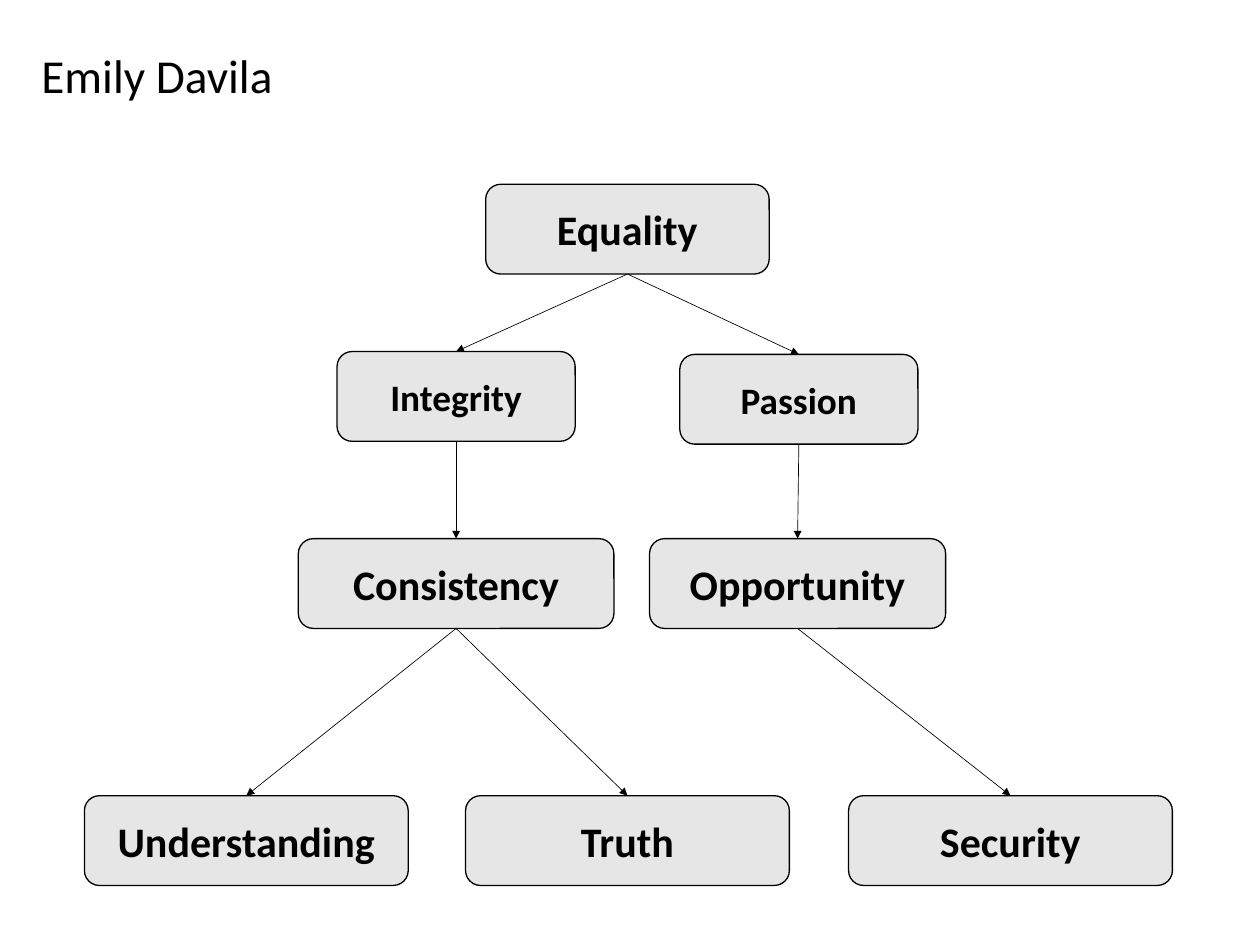
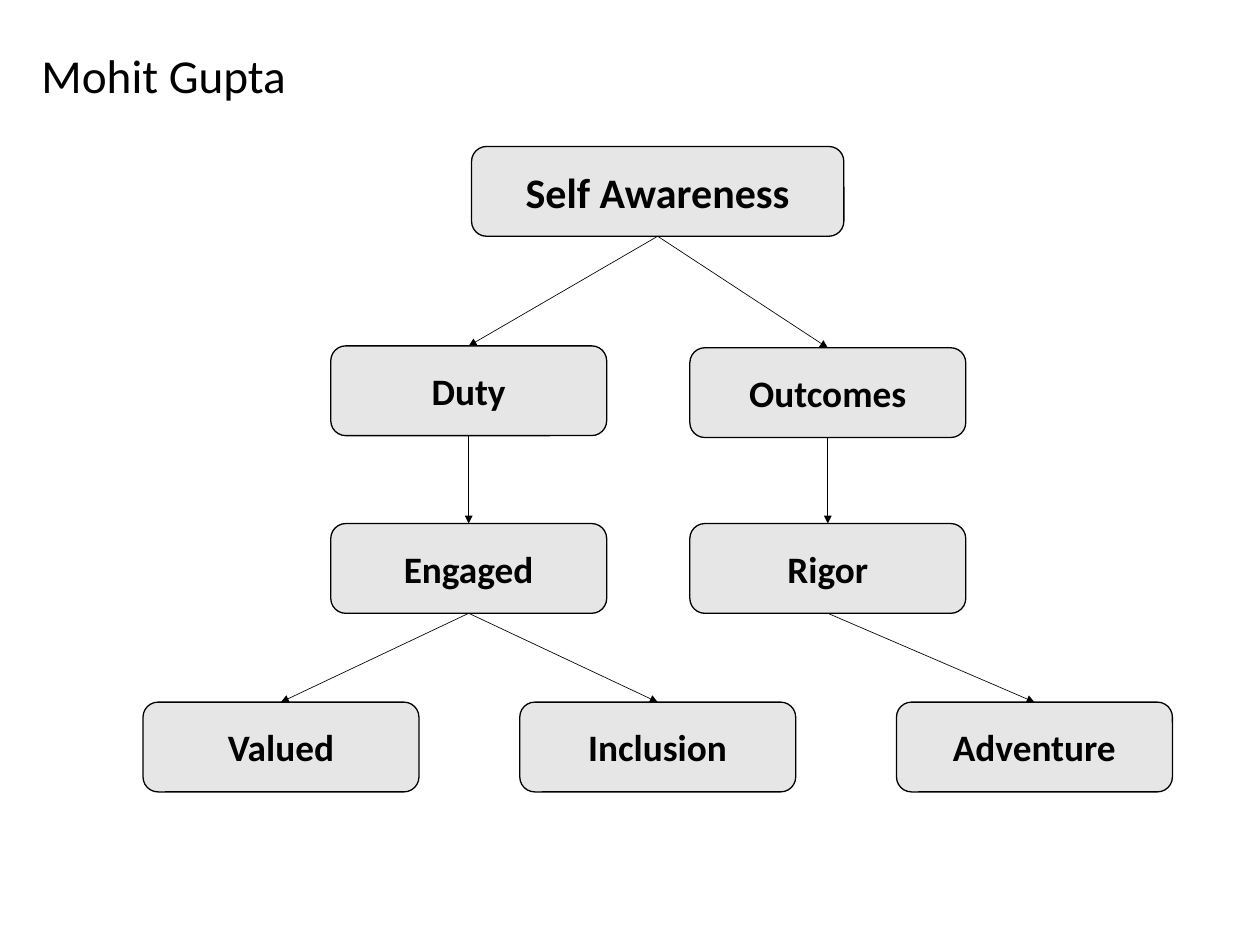
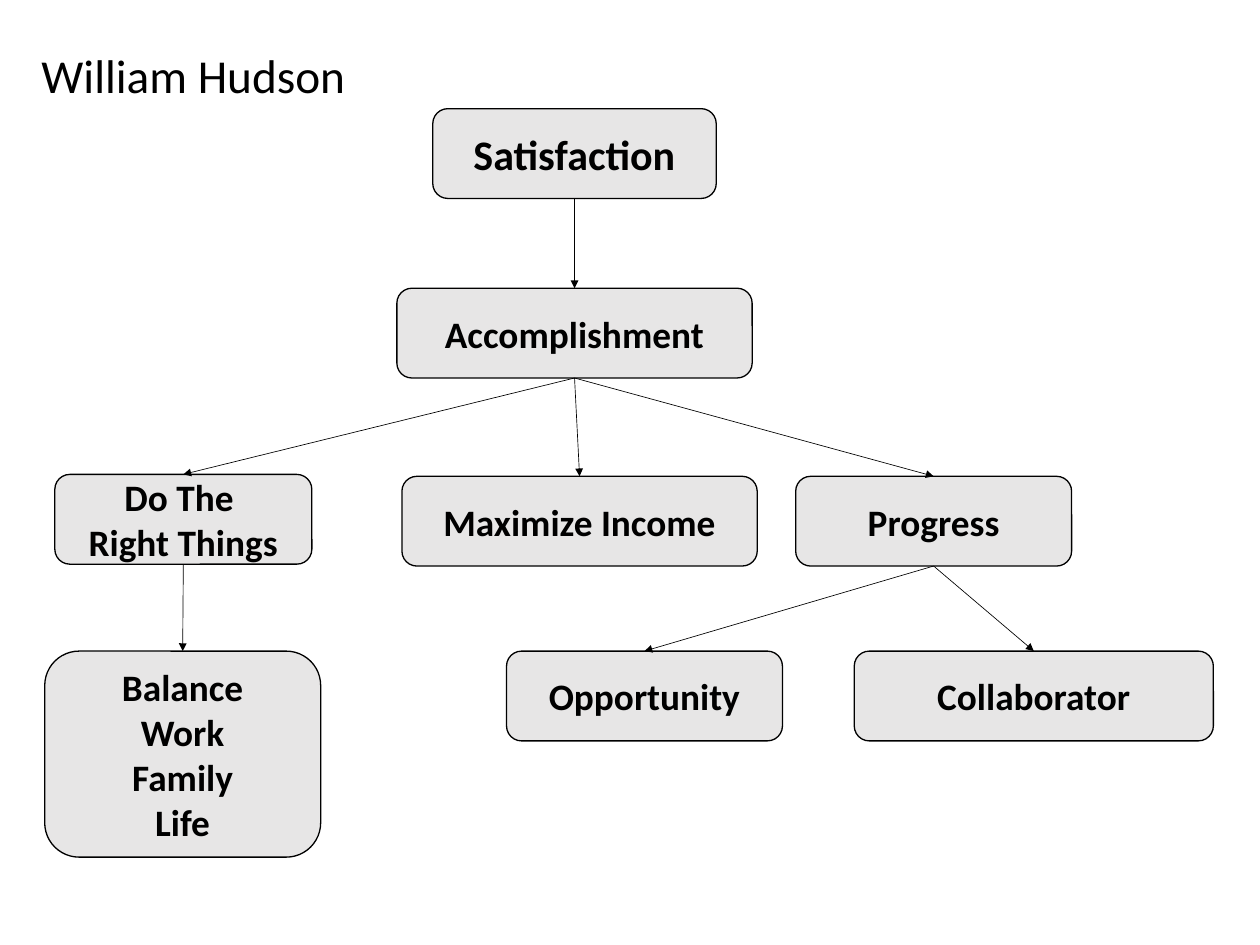
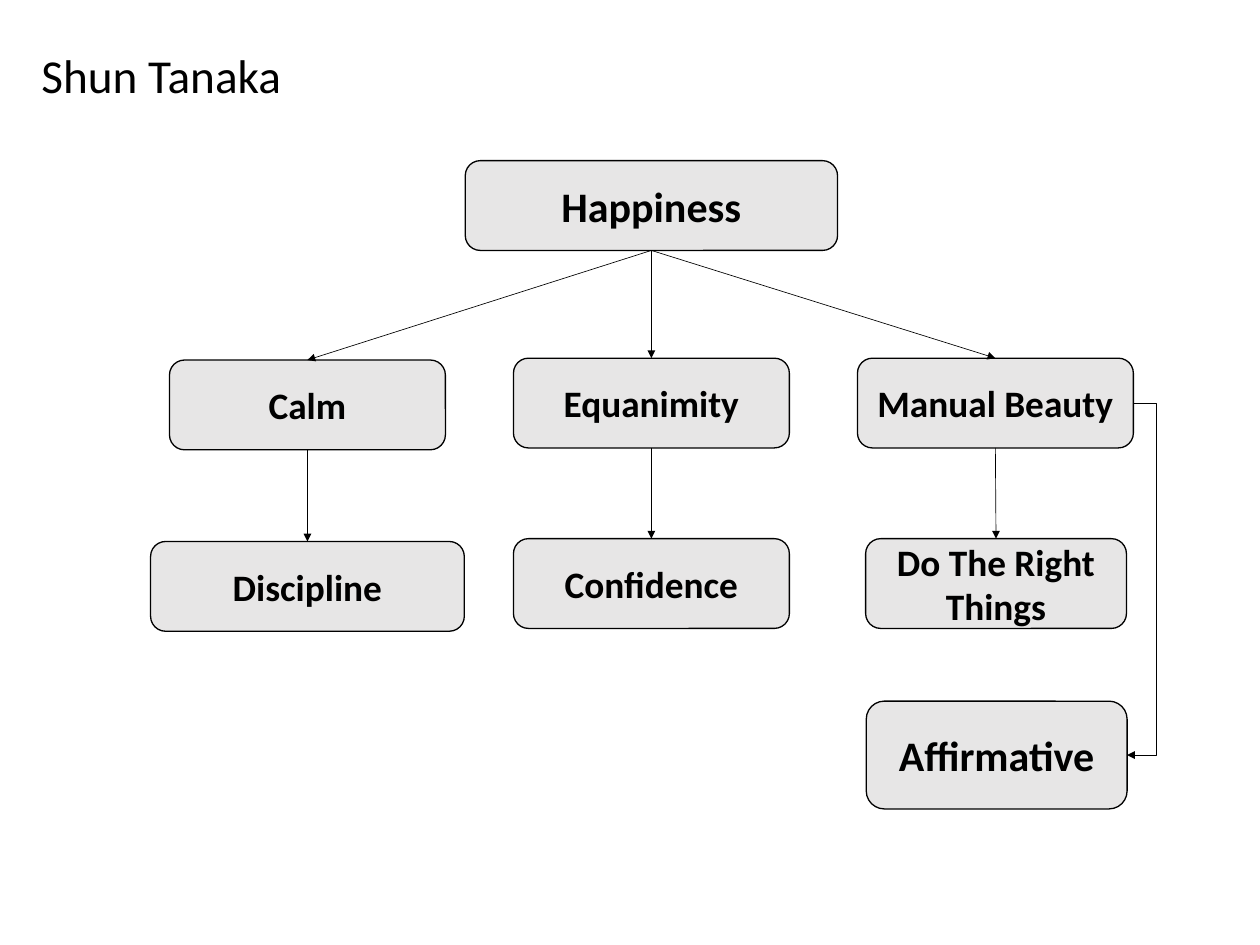
from dataclasses import dataclass

from lxml import etree
from pptx import Presentation
from pptx.dml.color import RGBColor
from pptx.enum.shapes import MSO_CONNECTOR, MSO_SHAPE
from pptx.enum.text import MSO_ANCHOR, PP_ALIGN
from pptx.oxml.ns import qn
from pptx.util import Inches, Pt

ROUND = MSO_SHAPE.ROUNDED_RECTANGLE
LINE, ELBOW = MSO_CONNECTOR.STRAIGHT, MSO_CONNECTOR.ELBOW
MIDDLE = MSO_ANCHOR.MIDDLE
LEFT, CENTER = PP_ALIGN.LEFT, PP_ALIGN.CENTER
TOP, BOTTOM, RIGHT = 0, 2, 3

WIDTH, HEIGHT = Inches(13.33), Inches(10)
FONT = "Calibri"
INK, GREY = "000000", "E7E6E6"
HEAD, LARGE, SMALL = 36, 32, 28.4
BEND = 91.8


@dataclass
class Node:
    text: str
    mid: float
    top: float
    width: float = 21.9
    size: float = SMALL
    height: float = 9.5


@dataclass
class Tree:
    title: str
    nodes: list[Node]
    links: dict[str, list[str]]
    loop: tuple[str, str] | None = None


TREES = [
    Tree(
        "Emily Davila",
        [
            Node("Equality", 49.8, 19.5, 22.5, LARGE),
            Node("Integrity", 36.2, 37.2, 18.9),
            Node("Passion", 63.4, 37.5, 18.9),
            Node("Consistency", 36.2, 57, 25.05, LARGE),
            Node("Opportunity", 63.3, 57, 23.5, LARGE),
            Node("Understanding", 19.55, 84.2, 25.7, LARGE),
            Node("Truth", 49.8, 84.2, 25.7, LARGE),
            Node("Security", 80.2, 84.2, 25.7, LARGE),
        ],
        {
            "Equality": ["Integrity", "Passion"],
            "Integrity": ["Consistency"],
            "Passion": ["Opportunity"],
            "Consistency": ["Understanding", "Truth"],
            "Opportunity": ["Security"],
        },
    ),
    Tree(
        "Mohit Gupta",
        [
            Node("Self Awareness", 52.2, 15.5, 29.55, LARGE),
            Node("Duty", 37.2, 36.6),
            Node("Outcomes", 65.7, 36.8),
            Node("Engaged", 37.2, 55.4),
            Node("Rigor", 65.7, 55.4),
            Node("Valued", 22.3, 74.3),
            Node("Inclusion", 52.2, 74.3),
            Node("Adventure", 82.1, 74.3),
        ],
        {
            "Self Awareness": ["Duty", "Outcomes"],
            "Duty": ["Engaged"],
            "Outcomes": ["Rigor"],
            "Engaged": ["Valued", "Inclusion"],
            "Rigor": ["Adventure"],
        },
    ),
    Tree(
        "William Hudson",
        [
            Node("Satisfaction", 45.6, 11.5, 22.5, LARGE),
            Node("Accomplishment", 45.6, 30.5, 28.2),
            Node("Do The \nRight Things", 14.55, 50.2, 20.4),
            Node("Maximize Income", 46, 50.4, 28.2),
            Node("Progress", 74.1, 50.4),
            Node("Balance\nWork\nFamily\nLife", 14.5, 68.9, height=21.8),
            Node("Opportunity", 51.15, 68.9),
            Node("Collaborator", 82.05, 68.9, 28.5),
        ],
        {
            "Satisfaction": ["Accomplishment"],
            "Accomplishment": ["Do The \nRight Things", "Maximize Income", "Progress"],
            "Do The \nRight Things": ["Balance\nWork\nFamily\nLife"],
            "Progress": ["Opportunity", "Collaborator"],
        },
    ),
    Tree(
        "Shun Tanaka",
        [
            Node("Happiness", 51.7, 17, 29.55, LARGE),
            Node("Calm", 24.4, 38.1),
            Node("Equanimity", 51.7, 37.9),
            Node("Manual Beauty", 79, 37.9),
            Node("Discipline", 24.4, 57.3, 24.9),
            Node("Confidence", 51.7, 57),
            Node("Do The Right Things", 79.05, 57, 20.7),
            Node("Affirmative", 79.1, 74.2, 20.7, LARGE, 11.4),
        ],
        {
            "Happiness": ["Calm", "Equanimity", "Manual Beauty"],
            "Calm": ["Discipline"],
            "Equanimity": ["Confidence"],
            "Manual Beauty": ["Do The Right Things"],
        },
        ("Manual Beauty", "Affirmative"),
    ),
]


def across(share: float) -> int:
    return round(WIDTH * share / 100)


def down(share: float) -> int:
    return round(HEIGHT * share / 100)


def color(code: str) -> RGBColor:
    return RGBColor.from_string(code)


def write(shape, text: str, size: float, bold: bool, align) -> None:
    frame = shape.text_frame
    frame.word_wrap = True
    frame.vertical_anchor = MIDDLE
    for i, part in enumerate(text.split("\n")):
        para = frame.add_paragraph() if i else frame.paragraphs[0]
        para.alignment = align
        run = para.add_run()
        run.text = part
        run.font.name = FONT
        run.font.size = Pt(size)
        run.font.bold = bold
        run.font.color.rgb = color(INK)


def draw_title(slide, text: str) -> None:
    box = slide.shapes.add_textbox(across(2.55), down(4.3), across(78.6), down(7.1))
    write(box, text, HEAD, False, LEFT)


def draw_node(slide, node: Node):
    box = slide.shapes.add_shape(
        ROUND, across(node.mid - node.width / 2), down(node.top),
        across(node.width), down(node.height))
    box.shadow.inherit = False
    box.fill.solid()
    box.fill.fore_color.rgb = color(GREY)
    box.line.color.rgb = color(INK)
    box.line.width = Pt(1)
    write(box, node.text, node.size, True, CENTER)
    return box


def join(slide, kind, start, out: int, end, into: int):
    link = slide.shapes.add_connector(kind, 0, 0, 0, 0)
    link.begin_connect(start, out)
    link.end_connect(end, into)
    link.line.color.rgb = color(INK)
    link.line.width = Pt(0.5)
    etree.SubElement(link.line._get_or_add_ln(), qn("a:tailEnd"), type="triangle")
    etree.SubElement(link.element.spPr, qn("a:effectLst"))
    return link


def draw_loop(slide, start, end) -> None:
    link = join(slide, ELBOW, start, RIGHT, end, RIGHT)
    ratio = (across(BEND) - link.begin_x) / (link.end_x - link.begin_x)
    geom = link.element.spPr.find(qn("a:prstGeom"))
    marks = geom.find(qn("a:avLst"))
    if marks is None:
        marks = etree.SubElement(geom, qn("a:avLst"))
    etree.SubElement(marks, qn("a:gd"), name="adj1", fmla=f"val {round(ratio * 100000)}")


def draw_tree(slide, tree: Tree) -> None:
    draw_title(slide, tree.title)
    boxes = {node.text: draw_node(slide, node) for node in tree.nodes}
    for start, ends in tree.links.items():
        for end in ends:
            join(slide, LINE, boxes[start], BOTTOM, boxes[end], TOP)
    if tree.loop:
        start, end = tree.loop
        draw_loop(slide, boxes[start], boxes[end])


def main() -> None:
    deck = Presentation()
    deck.slide_width, deck.slide_height = WIDTH, HEIGHT
    blank = deck.slide_layouts[6]
    for tree in TREES:
        draw_tree(deck.slides.add_slide(blank), tree)
    deck.save("out.pptx")


if __name__ == "__main__":
    main()
